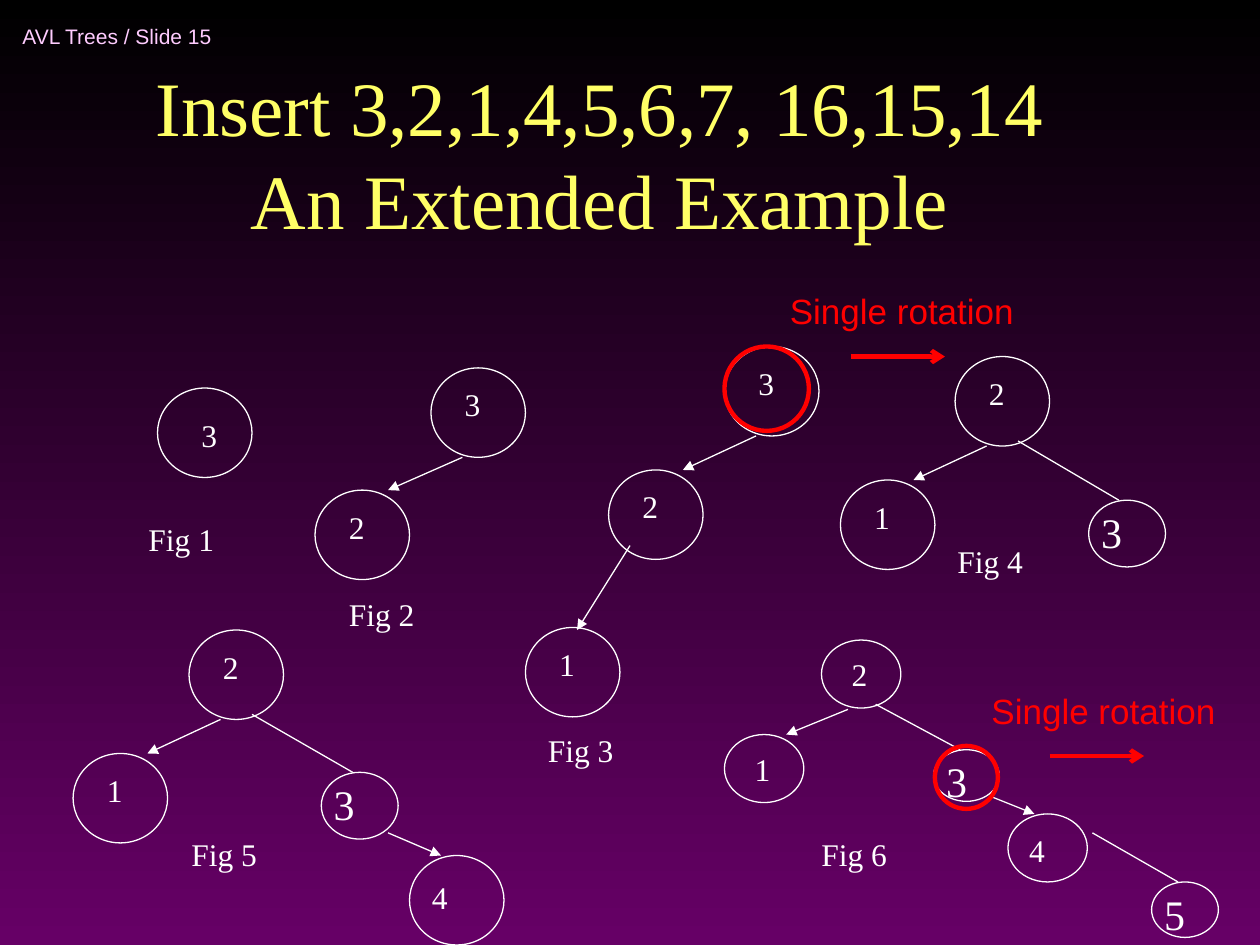
"""Builds the AVL tree insertion slide with six figures."""
from dataclasses import dataclass

from lxml.etree import SubElement
from pptx import Presentation
from pptx.dml.color import RGBColor as Color
from pptx.enum.shapes import MSO_CONNECTOR as Connector, MSO_SHAPE as Shape
from pptx.enum.text import MSO_ANCHOR as Anchor, MSO_AUTO_SIZE as AutoSize, PP_ALIGN as Align
from pptx.oxml.ns import qn
from pptx.util import Inches, Pt


@dataclass(frozen=True)
class Theme:
    """Colours, fonts, type sizes and line widths."""
    top: Color = Color(0x00, 0x00, 0x00)
    bottom: Color = Color(0x66, 0x00, 0x66)
    header: Color = Color(0xFF, 0xCC, 0xFF)
    title: Color = Color(0xFF, 0xFF, 0x66)
    ink: Color = Color(0xFF, 0xFF, 0xFF)
    accent: Color = Color(0xFF, 0x00, 0x00)
    serif: str = "Times New Roman"
    sans: str = "Arial"
    title_size: int = 44
    large_size: int = 24
    note_size: int = 20
    label_size: int = 18
    header_size: int = 12
    thin: float = 0.75
    thick: float = 2.5


THEME = Theme()


@dataclass(frozen=True)
class Node:
    """Size of a tree node and placement of its key."""
    width: float
    height: float
    dx: float = 0
    dy: float = 0
    key_width: float = 0.83
    size: int = THEME.label_size


ROOT = Node(0.75, 0.71, 0.17, 0.09, 1.33)
LEFT = Node(0.75, 0.71, 0.17, 0.09)
FIRST = Node(0.75, 0.71, 0.25, 0.17, 1.33)
LAST = Node(0.75, 0.71, 0.08, 0.13, 1)
RIGHT = Node(0.61, 0.53, key_width=0.61, size=THEME.large_size)
SMALL_ROOT = Node(0.63, 0.54, 0.14, 0.07, 1.12)
SMALL_LEFT = Node(0.63, 0.54, 0.14, 0.07, 0.7)
SMALL_LAST = Node(0.63, 0.54, 0.07, 0.09, 0.84)
SMALL_RIGHT = Node(0.52, 0.41, key_width=0.52, size=THEME.large_size)
SMALL_LEAF = Node(0.53, 0.44, key_width=0.53, size=THEME.large_size)

FIGURES = [
    ("Fig 1", 1.08, 4.08, 1, [("3", 1.25, 3.08, FIRST)], [], []),
    ("Fig 2", 2.67, 4.67, 1.25,
     [("3", 3.42, 2.92, ROOT), ("2", 2.5, 3.89, LEFT)],
     [(3.67, 3.63, 3.08, 3.89)], []),
    ("Fig 3", 4.25, 5.75, 1.25,
     [("3", 5.75, 2.75, ROOT), ("2", 4.83, 3.73, LEFT), ("1", 4.17, 4.98, ROOT)],
     [(6, 3.46, 5.42, 3.73), (5, 4.33, 4.58, 5)], []),
    ("Fig 4", 7.5, 4.25, 1.25,
     [("2", 7.58, 2.83, ROOT), ("1", 6.67, 3.81, LEFT), ("3", 8.64, 3.97, RIGHT)],
     [(7.83, 3.54, 7.25, 3.81)], [(8.08, 3.5, 8.88, 3.97)]),
    ("Fig 5", 1.42, 6.58, 1.25,
     [("2", 1.5, 5, ROOT), ("1", 0.58, 5.98, LEFT), ("3", 2.55, 6.13, RIGHT),
      ("4", 3.25, 6.79, LAST)],
     [(1.75, 5.71, 1.17, 5.98), (3.08, 6.61, 3.5, 6.79)], [(2, 5.67, 2.8, 6.13)]),
    ("Fig 6", 6.42, 6.58, 1.25,
     [("2", 6.52, 5.08, SMALL_ROOT), ("1", 5.75, 5.83, SMALL_LEFT),
      ("3", 7.41, 5.95, SMALL_RIGHT), ("4", 8, 6.46, SMALL_LAST),
      ("5", 9.14, 7, SMALL_LEAF)],
     [(6.73, 5.63, 6.24, 5.83), (7.86, 6.32, 8.21, 6.46)],
     [(6.95, 5.59, 7.62, 5.95), (8.67, 6.61, 9.35, 7)]),
]
ROTATIONS = [
    ((6.17, 2.25), (6.75, 2.83), (5.75, 2.75, 0.67)),
    ((7.77, 5.42), (8.33, 6), (7.42, 5.92, 0.5)),
]


class TreeSlide:
    """Draws titles, labels, circles and edges on the current slide."""

    def __init__(self, deck, theme):
        self.theme = theme
        self.page = deck.slides.add_slide(deck.slide_layouts[5])
        self.canvas = self.page.shapes

    def background(self):
        fill = self.page.background.fill
        fill.gradient()
        fill.gradient_angle = 270
        for stop, position, color in zip(fill.gradient_stops, (0, 1),
                                         (self.theme.top, self.theme.bottom)):
            stop.position = position
            stop.color.rgb = color

    def style(self, para, size, name, color):
        para.font.size = Pt(size)
        para.font.name = name
        para.font.color.rgb = color

    def title(self, text, left, top, width, height):
        box = self.page.shapes.title
        box.left, box.top = Inches(left), Inches(top)
        box.width, box.height = Inches(width), Inches(height)
        frame = box.text_frame
        frame.text = text
        frame.auto_size = AutoSize.NONE
        frame.vertical_anchor = Anchor.BOTTOM
        para = frame.paragraphs[0]
        para.alignment = Align.CENTER
        self.style(para, self.theme.title_size, self.theme.serif, self.theme.title)

    def label(self, text, left, top, width, height=0.4, size=None, name=None,
              color=None, wrap=True):
        box = self.canvas.add_textbox(Inches(left), Inches(top), Inches(width), Inches(height))
        frame = box.text_frame
        frame.text = text
        frame.word_wrap = wrap
        self.style(frame.paragraphs[0], size or self.theme.label_size,
                   name or self.theme.serif, color or self.theme.ink)
        return frame

    def header(self, text):
        frame = self.label(text, 0.08, 0.08, 2.75, 0.42, self.theme.header_size,
                           self.theme.sans, self.theme.header, wrap=False)
        frame.vertical_anchor = Anchor.MIDDLE

    def circle(self, left, top, width, height, color, weight):
        ring = self.canvas.add_shape(Shape.OVAL, Inches(left), Inches(top),
                                     Inches(width), Inches(height))
        ring.shadow.inherit = False
        ring.fill.background()
        ring.line.color.rgb = color
        ring.line.width = Pt(weight)

    def edge(self, ends, color, weight, head=None):
        link = self.canvas.add_connector(Connector.STRAIGHT, *map(Inches, ends))
        link.line.color.rgb = color
        link.line.width = Pt(weight)
        properties = link._element.spPr
        if head:
            SubElement(properties.find(qn("a:ln")), qn("a:tailEnd"), type=head)
        SubElement(properties, qn("a:effectLst"))

    def node(self, key, left, top, kind):
        self.circle(left, top, kind.width, kind.height, self.theme.ink, self.theme.thin)
        height = 0.5 if kind.size == self.theme.large_size else 0.4
        self.label(key, left + kind.dx, top + kind.dy, kind.key_width, height, kind.size)

    def figure(self, caption, left, top, width, nodes, arrows, links):
        self.canvas = self.page.shapes.add_group_shape().shapes
        for node in nodes:
            self.node(*node)
        for ends in arrows:
            self.edge(ends, self.theme.ink, self.theme.thin, "triangle")
        for ends in links:
            self.edge(ends, self.theme.ink, self.theme.thin)
        self.label(caption, left, top, width)
        self.canvas = self.page.shapes

    def rotation(self, note, start, ring):
        red, thick = self.theme.accent, self.theme.thick
        x, y = start
        self.edge((x, y, x + 0.75, y), red, thick, "arrow")
        self.label("Single rotation", *note, 1.98, 0.44, self.theme.note_size,
                   self.theme.sans, red, wrap=False)
        left, top, side = ring
        self.circle(left, top, side, side, red, thick)


def main():
    deck = Presentation()
    deck.slide_width, deck.slide_height = Inches(10), Inches(7.5)
    slide = TreeSlide(deck, THEME)
    slide.background()
    slide.header("AVL Trees / Slide 15")
    slide.title("Insert 3,2,1,4,5,6,7, 16,15,14\vAn Extended Example", 0.47, 0.74, 8.58, 1.25)
    for figure in FIGURES:
        slide.figure(*figure)
    for rotation in ROTATIONS:
        slide.rotation(*rotation)
    deck.save("out.pptx")


if __name__ == "__main__":
    main()
